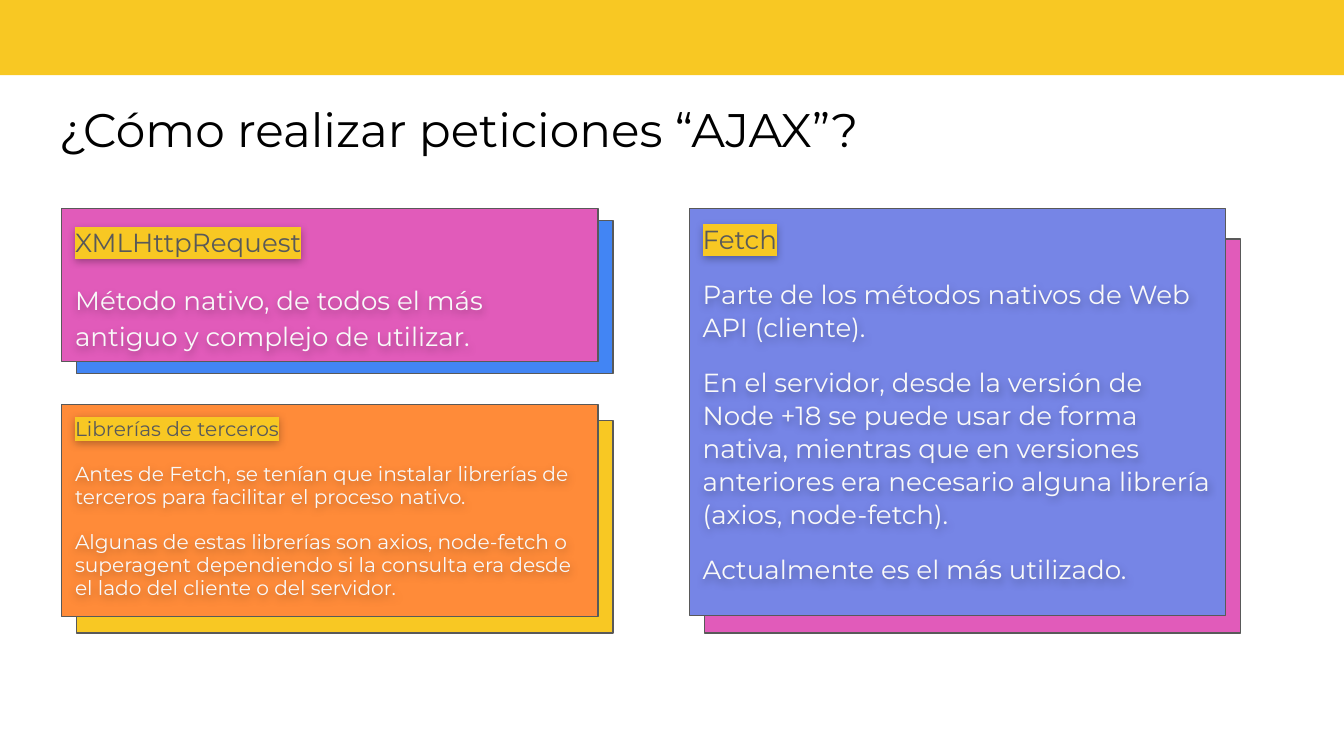
from lxml import etree
from pptx import Presentation
from pptx.dml.color import RGBColor
from pptx.enum import shapes, text
from pptx.oxml import ns
from pptx.util import Inches, Pt

FONT = "Montserrat"
COLORS = {
    "yellow": "F8C823",
    "pink": "E15BBA",
    "blue": "4285F4",
    "orange": "FF8B39",
    "violet": "7685E6",
    "gray": "595959",
    "light": "F9F9F9",
    "black": "000000",
}
CARD_WIDTH = 3.99
LEFT_COLUMN, RIGHT_COLUMN = 0.46, 5.13
BACK_SHIFT = 0.11

# left, top, height, back top, back height, fill, back fill,
# text size, line spacing, heading, body paragraphs
CARDS = [
    (LEFT_COLUMN, 3.01, 1.58, 3.13, 1.58, "orange", "yellow", 10.8, 0.95,
     "Librerías de terceros",
     ["Antes de Fetch, se tenían que instalar librerías de terceros para "
      "facilitar el proceso nativo.",
      "Algunas de estas librerías son axios, node-fetch o superagent "
      "dependiendo si la consulta era desde el lado del cliente o del servidor."]),
    (RIGHT_COLUMN, 1.55, 3.03, 1.78, 2.93, "violet", "pink", 14, 1.05,
     "Fetch",
     ["Parte de los métodos nativos de Web API (cliente).",
      "En el servidor, desde la versión de Node +18 se puede usar de forma "
      "nativa, mientras que en versiones anteriores era necesario alguna "
      "librería (axios, node-fetch).",
      "Actualmente es el más utilizado."]),
    (LEFT_COLUMN, 1.55, 1.14, 1.64, 1.14, "pink", "blue", 14, 1.15,
     "XMLHttpRequest",
     ["Método nativo, de todos el más antiguo y complejo de utilizar."]),
]


def rgb(color):
    return RGBColor.from_string(COLORS[color])


def add_rectangle(slide, left, top, width, height, fill, line=None):
    shape = slide.shapes.add_shape(
        shapes.MSO_SHAPE.RECTANGLE,
        Inches(left), Inches(top), Inches(width), Inches(height))
    shape.shadow.inherit = False
    shape.fill.solid()
    shape.fill.fore_color.rgb = rgb(fill)
    if line:
        shape.line.color.rgb = rgb(line)
        shape.line.width = Pt(0.75)
    else:
        shape.line.fill.background()


def add_text_box(slide, left, top, width, height):
    box = slide.shapes.add_textbox(
        Inches(left), Inches(top), Inches(width), Inches(height))
    frame = box.text_frame
    frame.word_wrap = True
    frame.vertical_anchor = text.MSO_ANCHOR.TOP
    frame.margin_left = frame.margin_right = Inches(0.1)
    frame.margin_top = frame.margin_bottom = Inches(0.1)
    return box


def add_run(paragraph, words, size, color, highlight=None):
    run = paragraph.add_run()
    run.text = words
    run.font.size = Pt(size)
    run.font.color.rgb = rgb(color)
    run.font.name = FONT
    if highlight:
        mark = etree.Element(ns.qn("a:highlight"))
        etree.SubElement(mark, ns.qn("a:srgbClr"), val=COLORS[highlight])
        run._r.get_or_add_rPr().find(ns.qn("a:latin")).addprevious(mark)


def add_soft_shadow(box):
    """Cast a soft shadow from the text of an unfilled box."""
    box.shadow.inherit = False
    effects = box._element.spPr.find(ns.qn("a:effectLst"))
    shadow = etree.SubElement(
        effects, ns.qn("a:outerShdw"), blurRad=str(Pt(4.5)), dist=str(Pt(1.5)),
        dir="5400000", algn="bl", rotWithShape="0")
    color = etree.SubElement(shadow, ns.qn("a:srgbClr"), val=COLORS["black"])
    etree.SubElement(color, ns.qn("a:alpha"), val="30000")


def add_card(slide, left, top, height, back_top, back_height, fill, back_fill,
             size, spacing, heading, body):
    """Add a card with a second rectangle behind it and its text on top."""
    add_rectangle(slide, left + BACK_SHIFT, back_top, CARD_WIDTH, back_height,
                  back_fill, "gray")
    add_rectangle(slide, left, top, CARD_WIDTH, height, fill, "gray")
    box = add_text_box(slide, left, top, CARD_WIDTH, height)
    add_soft_shadow(box)

    paragraph = box.text_frame.paragraphs[0]
    paragraph.line_spacing = spacing
    add_run(paragraph, heading, size, "gray", "yellow")
    for words in body:
        paragraph = box.text_frame.add_paragraph()
        paragraph.line_spacing = spacing
        paragraph.space_before = Pt(12)
        add_run(paragraph, words, size, "light")
    paragraph.space_after = Pt(12)


def main():
    presentation = Presentation()
    presentation.slide_width = Inches(10)
    presentation.slide_height = Inches(10) * 9 // 16
    slide = presentation.slides.add_slide(presentation.slide_layouts[6])

    add_rectangle(slide, -0.01, -0.05, 10.03, 0.61, "yellow")
    title = add_text_box(slide, 0.34, 0.65, 9.32, 0.63)
    add_run(title.text_frame.paragraphs[0],
            "¿Cómo realizar peticiones “AJAX”?", 25.2, "black")
    for card in CARDS:
        add_card(slide, *card)

    presentation.save("out.pptx")


if __name__ == "__main__":
    main()
